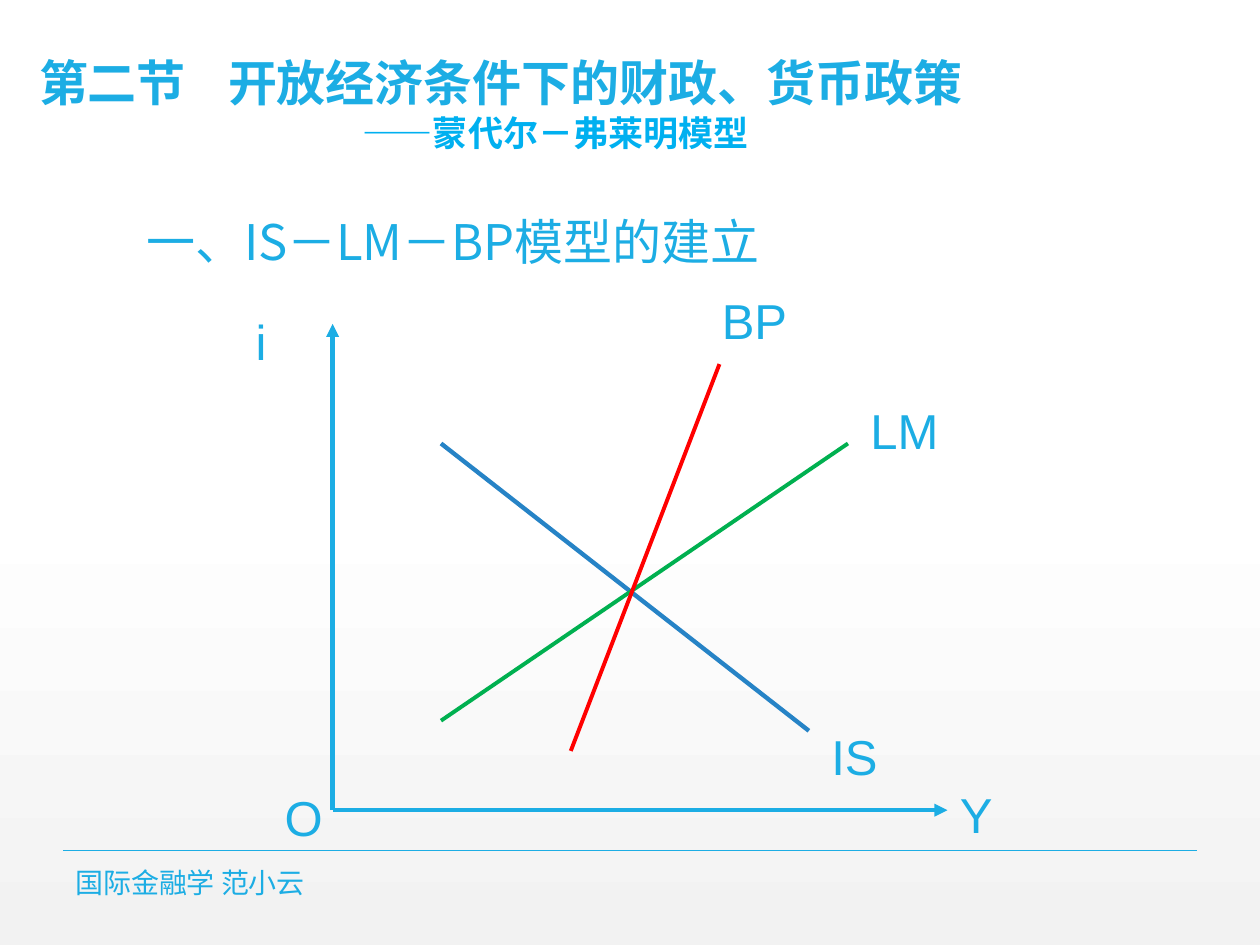
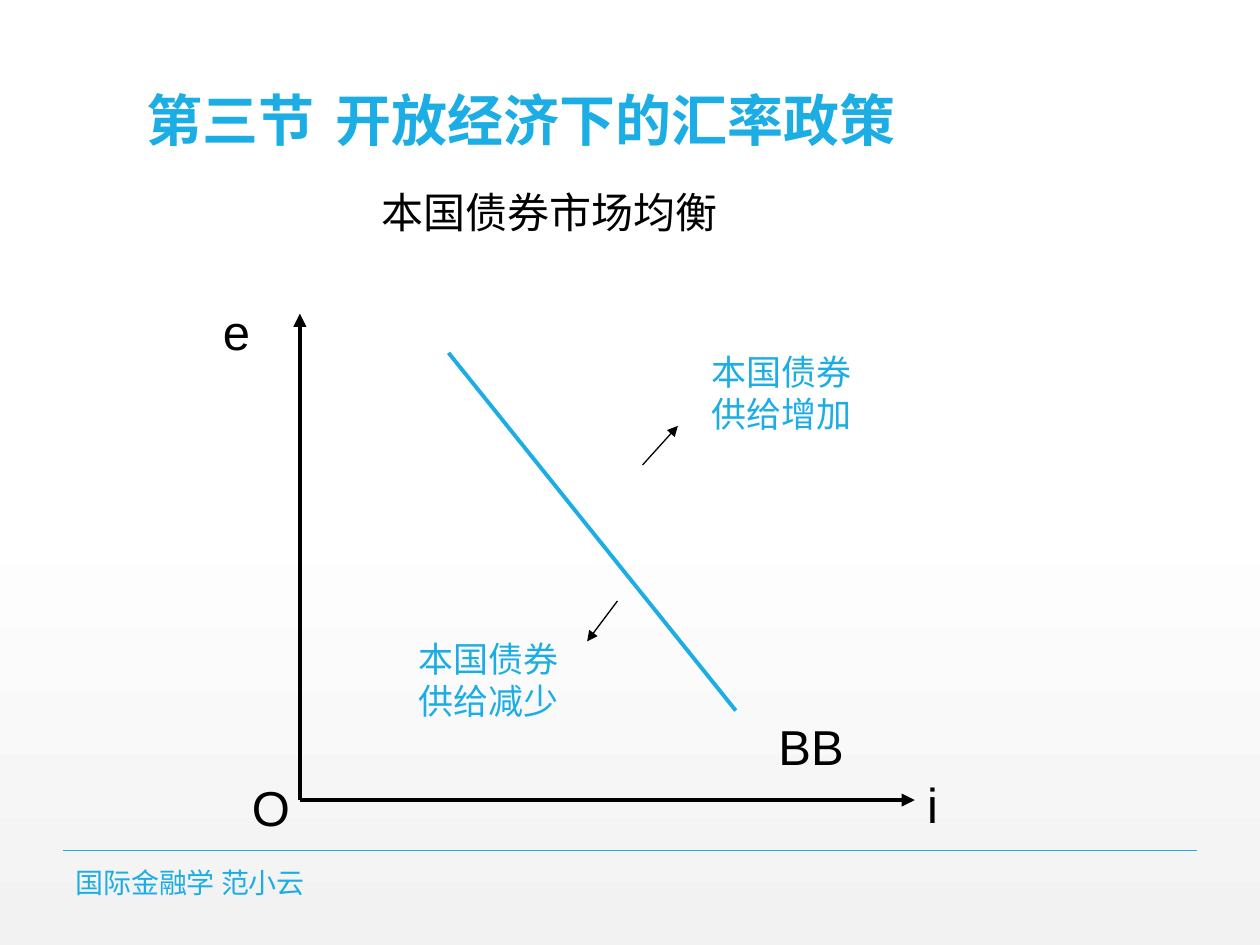
import pptx
import pptx.dml.color
import pptx.enum.shapes
import pptx.enum.text
import pptx.oxml.ns
import pptx.oxml.xmlchemy
import pptx.util

WIDE, HIGH = 10, 7.5
HUES = {"sky": "1CADE4", "blue": "2683C6", "green": "00B050", "red": "FF0000",
        "cyan": "00B0F0", "black": "000000", "white": "FFFFFF", "mist": "F2F2F2"}
SANS, CJK = "Arial", "Noto Sans CJK SC"
FOOT = "国际金融学 范小云"
TAB = 2            # gap from section number to section name
AXIS = (4.88, 3.86)  # axis lengths, across and up

# Content: boxes are (left, top, width, height), lines are (x1, y1, x2, y2)
SLIDES = [
    {"layout": 1,
     "title": "第二节\t开放经济条件下的财政、货币政策",
     "size": 28, "box": (0.21, 0.02, 9.79, 1.25),
     "sub": "——蒙代尔－弗莱明模型",
     "body": "一、IS－LM－BP模型的建立",
     "origin": (2.64, 6.43), "axes": ("i", "Y"), "hue": "sky",
     "lines": [((3.5, 3.52, 6.42, 5.8), "blue", 2.5, False),
               ((3.5, 5.72, 6.73, 3.52), "green", 2.25, False),
               ((5.71, 2.89, 4.53, 5.96), "red", 2.25, False)],
     "labels": [("LM", (6.81, 3.13, 0.79, 0.57), "sky", 28),
                ("BP", (5.63, 2.26, 0.79, 0.57), "sky", 28),
                ("IS", (6.5, 5.72, 0.71, 0.57), "sky", 28)]},
    {"layout": 5,
     "title": "第三节\t开放经济下的汇率政策",
     "size": 32, "box": (1.06, 0.02, 7.88, 1.25),
     "origin": (2.38, 6.35), "axes": ("e", "i"), "hue": "black",
     "lines": [((5.84, 5.64, 3.56, 2.8), "sky", 2.25, False),
               ((5.1, 3.69, 5.38, 3.38), "black", 0.75, True),
               ((4.9, 4.77, 4.66, 5.09), "black", 0.75, True)],
     "labels": [("BB", (6.08, 5.64, 1.02, 0.57), "black", 28),
                ("本国债券市场均衡", (2.93, 1.43, 3.94, 0.5), "black", 24),
                ("本国债券供给增加", (5.55, 2.73, 1.56, 0.77), "sky", 20),
                ("本国债券供给减少", (3.22, 5.01, 1.56, 0.77), "sky", 20)]},
]


def tint(name):
    return pptx.dml.color.RGBColor.from_string(HUES[name])


def node(home, tag, **attrs):
    """Append one XML element to its home."""
    item = pptx.oxml.xmlchemy.OxmlElement(tag)
    for key, value in attrs.items():
        item.set(key, str(value))
    home.append(item)
    return item


def write(frame, text, hue="sky", size=28, font=SANS, bold=False,
          space=1, before=0, indent=0, tab=None):
    """Add a formatted paragraph, using the first one if it is empty."""
    para = frame.paragraphs[0]
    if para.text:
        para = frame.add_paragraph()
    para.alignment = pptx.enum.text.PP_ALIGN.LEFT
    para.line_spacing = space
    para.space_before = pptx.util.Pt(before)
    props = para._p.get_or_add_pPr()
    props.set("marL", str(pptx.util.Inches(indent)))
    props.set("indent", "0")
    node(props, "a:buNone")
    if tab:
        stops = node(props, "a:tabLst")
        node(stops, "a:tab", pos=pptx.util.Inches(tab), algn="l")
    run = para.add_run()
    run.text = text
    run.font.size = pptx.util.Pt(size)
    run.font.bold = bold
    run.font.color.rgb = tint(hue)
    run.font.name = font
    node(run._r.get_or_add_rPr(), "a:ea", typeface=font)


def place(shape, box, anchor="TOP"):
    """Move a shape to its box and ready its text frame."""
    shape.left, shape.top, shape.width, shape.height = map(pptx.util.Inches, box)
    frame = shape.text_frame
    frame.word_wrap = True
    frame.auto_size = pptx.enum.text.MSO_AUTO_SIZE.NONE
    frame.vertical_anchor = pptx.enum.text.MSO_ANCHOR[anchor]
    return frame


def label(slide, text, box, hue="sky", size=28, font=SANS, anchor="TOP"):
    shape = slide.shapes.add_textbox(0, 0, 0, 0)
    write(place(shape, box, anchor), text, hue=hue, size=size, font=font)


def draw(slide, ends, hue, width, arrow=False):
    kind = pptx.enum.shapes.MSO_CONNECTOR.STRAIGHT
    line = slide.shapes.add_connector(kind, *map(pptx.util.Inches, ends))
    line.line.color.rgb = tint(hue)
    line.line.width = pptx.util.Pt(width)
    props = line._element.spPr
    if arrow:
        node(props.find(pptx.oxml.ns.qn("a:ln")), "a:tailEnd", type="triangle")
    node(props, "a:effectLst")


def axes(slide, origin, names, hue):
    """Draw both axes from the origin and name them."""
    x, y = origin
    across, up = AXIS
    draw(slide, (x, y, x, y - up), hue, 2.5, True)
    draw(slide, (x, y, x + across, y), hue, 2.5, True)
    spots = [(-0.71, -up - 0.15), (across, -0.25), (-0.48, -0.23)]
    for name, (dx, dy) in zip((*names, "O"), spots):
        label(slide, name, (x + dx, y + dy, 0.55, 0.57), hue)


def shade(master):
    """Fade the shared background to grey at the foot."""
    fill = master.background.fill
    fill.gradient()
    fill.gradient_angle = 270
    for stop, (spot, hue) in zip(fill.gradient_stops, [(0.53, "white"), (1, "mist")]):
        stop.position = spot
        stop.color.rgb = tint(hue)


def build(deck, data):
    slide = deck.slides.add_slide(deck.slide_layouts[data["layout"]])

    # Footer
    draw(slide, (0.05 * WIDE, 0.9 * HIGH, 0.95 * WIDE, 0.9 * HIGH), "sky", 1)
    label(slide, FOOT, (0.5, 6.88, 5.03, 0.24), size=16, font=CJK, anchor="MIDDLE")

    # Title and list
    frame = place(slide.shapes.title, data["box"], "BOTTOM")
    write(frame, data["title"], size=data["size"], bold=True, space=0.9, tab=TAB)
    if "sub" in data:
        write(frame, data["sub"], hue="cyan", size=20, font=CJK, bold=True,
              space=0.9, before=2, indent=2.57)
    if "body" in data:
        frame = place(slide.placeholders[1], (1.06, 1.58, 7.88, 5.3))
        write(frame, data["body"], font=CJK, space=1.1)

    # Diagram
    axes(slide, data["origin"], data["axes"], data["hue"])
    for line in data["lines"]:
        draw(slide, *line)
    for item in data["labels"]:
        label(slide, *item)


def main():
    deck = pptx.Presentation()
    deck.slide_width = pptx.util.Inches(WIDE)
    deck.slide_height = pptx.util.Inches(HIGH)
    shade(deck.slide_master)
    for data in SLIDES:
        build(deck, data)
    deck.save("out.pptx")


if __name__ == "__main__":
    main()
